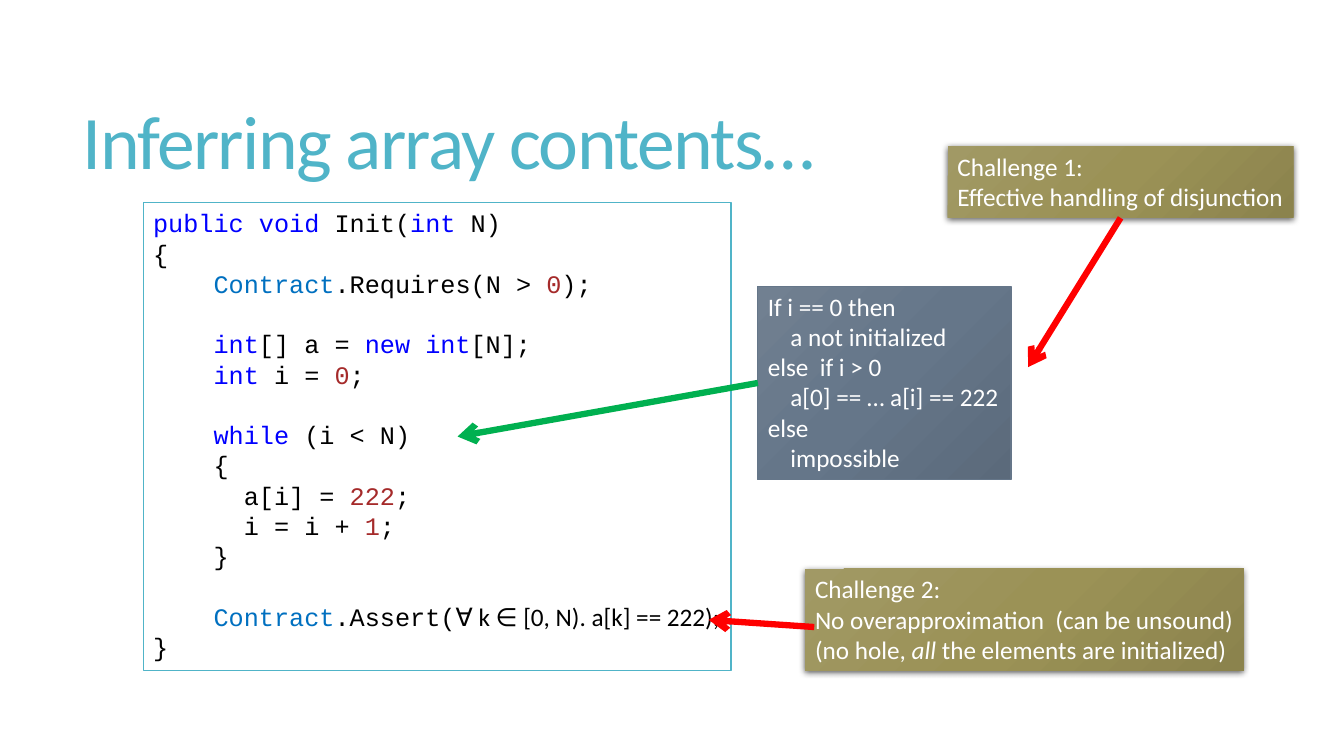
"""Build the slide on inferring array contents, with code, loop state and challenges."""
import copy

from lxml import etree
from pptx import Presentation
from pptx import util as u
from pptx.dml.color import RGBColor
from pptx.enum import shapes, text
from pptx.oxml import ns

TEAL = RGBColor(0x50, 0xB4, 0xC8)
WHITE = RGBColor(0xFF, 0xFF, 0xFF)
BLACK = RGBColor(0x00, 0x00, 0x00)
KEYWORD = RGBColor(0x00, 0x00, 0xFF)
TYPE = RGBColor(0x00, 0x70, 0xC0)
NUMBER = RGBColor(0xA5, 0x2A, 0x2A)
GREEN = RGBColor(0x00, 0xB0, 0x50)
RED = RGBColor(0xFF, 0x00, 0x00)
STEEL_LINE = RGBColor(0x65, 0x76, 0x89)
STEEL = (RGBColor(0x71, 0x80, 0x91), STEEL_LINE, RGBColor(0x5B, 0x6A, 0x7B))
OLIVE = (RGBColor(0xA1, 0x99, 0x65), RGBColor(0x9B, 0x92, 0x56), RGBColor(0x8B, 0x83, 0x4D))
LINE_PITCH = u.Pt(21.6)
PSEUDOCODE_INDENT = u.Cm(0.57)


def write(paragraph, words, *, color, size=18, font="Calibri", italic=False, spacing=None):
    run = paragraph.add_run()
    run.text = words
    run.font.name = font
    run.font.size = u.Pt(size)
    run.font.color.rgb = color
    run.font.italic = italic
    if spacing is not None:
        run.font._element.set("spc", str(spacing))


def add_box(left, top, width, height, gradient=None):
    shape = slide.shapes.add_shape(shapes.MSO_SHAPE.RECTANGLE,
                                   u.Cm(left), u.Cm(top), u.Cm(width), u.Cm(height))
    shape.shadow.inherit = False
    shape.line.fill.background()
    shape.text_frame.vertical_anchor = text.MSO_ANCHOR.TOP
    shape.text_frame.word_wrap = gradient is None
    if gradient is None:
        shape.fill.solid()
        shape.fill.fore_color.rgb = WHITE
    else:
        shape.fill.gradient()
        shape.fill.gradient_angle = 315
        stop_list = shape._element.spPr.find(".//" + ns.qn("a:gsLst"))
        stop_list.append(copy.deepcopy(stop_list[0]))
        for stop, color, position in zip(shape.fill.gradient_stops, gradient, (0, 0.5, 1)):
            stop.color.rgb = color
            stop.position = position
    return shape


presentation = Presentation()
presentation.slide_width = u.Cm(33.87)
presentation.slide_height = u.Cm(19.05)
slide = presentation.slides.add_slide(presentation.slide_layouts[5])

title = slide.shapes.title
title.left, title.top, title.width, title.height = u.Cm(1.83), u.Cm(1.4), u.Cm(29.92), u.Cm(4.6)
title.text_frame.auto_size = text.MSO_AUTO_SIZE.NONE
title.text_frame.vertical_anchor = text.MSO_ANCHOR.MIDDLE
heading = title.text_frame.paragraphs[0]
heading.alignment = text.PP_ALIGN.LEFT
heading.line_spacing = 0.85
write(heading, "Inferring array contents…", color=TEAL, size=54, spacing=-120)

code_lines = [
    [("public void", KEYWORD), (" Init(", BLACK), ("int", KEYWORD), (" N)", BLACK)],
    [("{", BLACK)],
    [("    Contract", TYPE), (".Requires(N > ", BLACK), ("0", NUMBER), (");", BLACK)],
    [],
    [("    int", KEYWORD), ("[] a = ", BLACK), ("new int", KEYWORD), ("[N];", BLACK)],
    [("    int", KEYWORD), (" i = ", BLACK), ("0", NUMBER), (";", BLACK)],
    [],
    [("    while", KEYWORD), (" (i < N)", BLACK)],
    [("    {", BLACK)],
    [("      a[i] = ", BLACK), ("222", NUMBER), (";", BLACK)],
    [("      i = i + ", BLACK), ("1", NUMBER), (";", BLACK)],
    [("    }", BLACK)],
    [],
    [("    Contract", TYPE), (".Assert(", BLACK), ("∀ k ∈ [0, N). a[k] == 222);", BLACK)],
    [("}", BLACK)],
]
code_box = add_box(3.61, 5.11, 14.81, 11.79)
code_box.line.color.rgb = TEAL
code_box.line.width = u.Pt(1)
frame = code_box.text_frame
paragraph = frame.paragraphs[0]
for number, runs in enumerate(code_lines):
    if not runs:
        continue
    if number:
        paragraph = frame.add_paragraph()
        paragraph.space_before = u.Pt(0) if code_lines[number - 1] else LINE_PITCH
    paragraph.alignment = text.PP_ALIGN.LEFT
    paragraph.line_spacing = LINE_PITCH
    for words, color in runs:
        write(paragraph, words, color=color, font="Calibri" if "∀" in words else "Courier New")

state_box = add_box(19.1, 7.21, 6.38, 4.88, STEEL)
state_box.line.color.rgb = STEEL_LINE
state_box.line.width = u.Pt(0.75)
disjunction_box = add_box(23.88, 3.68, 8.71, 1.8, OLIVE)
soundness_box = add_box(20.29, 14.33, 11.05, 2.57, OLIVE)

for shape in (disjunction_box, soundness_box):
    effects = shape._element.spPr.find(ns.qn("a:effectLst"))
    shadow = etree.SubElement(effects, ns.qn("a:outerShdw"), blurRad=str(u.Pt(4.5)),
                              dist=str(u.Pt(1.5)), dir="5400000", rotWithShape="0")
    shadow_color = etree.SubElement(shadow, ns.qn("a:srgbClr"), val="000000")
    etree.SubElement(shadow_color, ns.qn("a:alpha"), val="63000")

notes = [
    (state_box, [(0, ["If i == 0 then"]), (1, ["a not initialized"]), (0, ["else  if i > 0"]),
                 (1, ["a[0] == … a[i] == 222"]), (0, ["else"]), (1, ["impossible"])]),
    (disjunction_box, [(0, ["Challenge 1:"]), (0, ["Effective handling of disjunction"])]),
    (soundness_box, [(0, ["Challenge 2:"]), (0, ["No overapproximation  (can be unsound)"]),
                     (0, ["(no hole, ", "all", " the elements are initialized)"])]),
]
for shape, lines in notes:
    frame = shape.text_frame
    for number, (level, runs) in enumerate(lines):
        paragraph = frame.add_paragraph() if number else frame.paragraphs[0]
        paragraph.alignment = text.PP_ALIGN.LEFT
        paragraph.line_spacing = LINE_PITCH
        paragraph._p.get_or_add_pPr().set("marL", str(level * PSEUDOCODE_INDENT))
        for words in runs:
            write(paragraph, words, color=WHITE, italic=words == "all")

arrows = [
    (19.1, 9.65, 11.53, 11.0, GREEN),
    (28.24, 5.49, 25.91, 9.25, RED),
    (20.52, 15.8, 17.86, 15.62, RED),
]
for start_x, start_y, end_x, end_y, color in arrows:
    arrow = slide.shapes.add_connector(shapes.MSO_CONNECTOR.STRAIGHT, u.Cm(start_x),
                                       u.Cm(start_y), u.Cm(end_x), u.Cm(end_y))
    arrow.line.color.rgb = color
    arrow.line.width = u.Pt(4.5)
    etree.SubElement(arrow.line._get_or_add_ln(), ns.qn("a:tailEnd"), type="arrow")
    etree.SubElement(arrow._element.spPr, ns.qn("a:effectLst"))

presentation.save("out.pptx")
